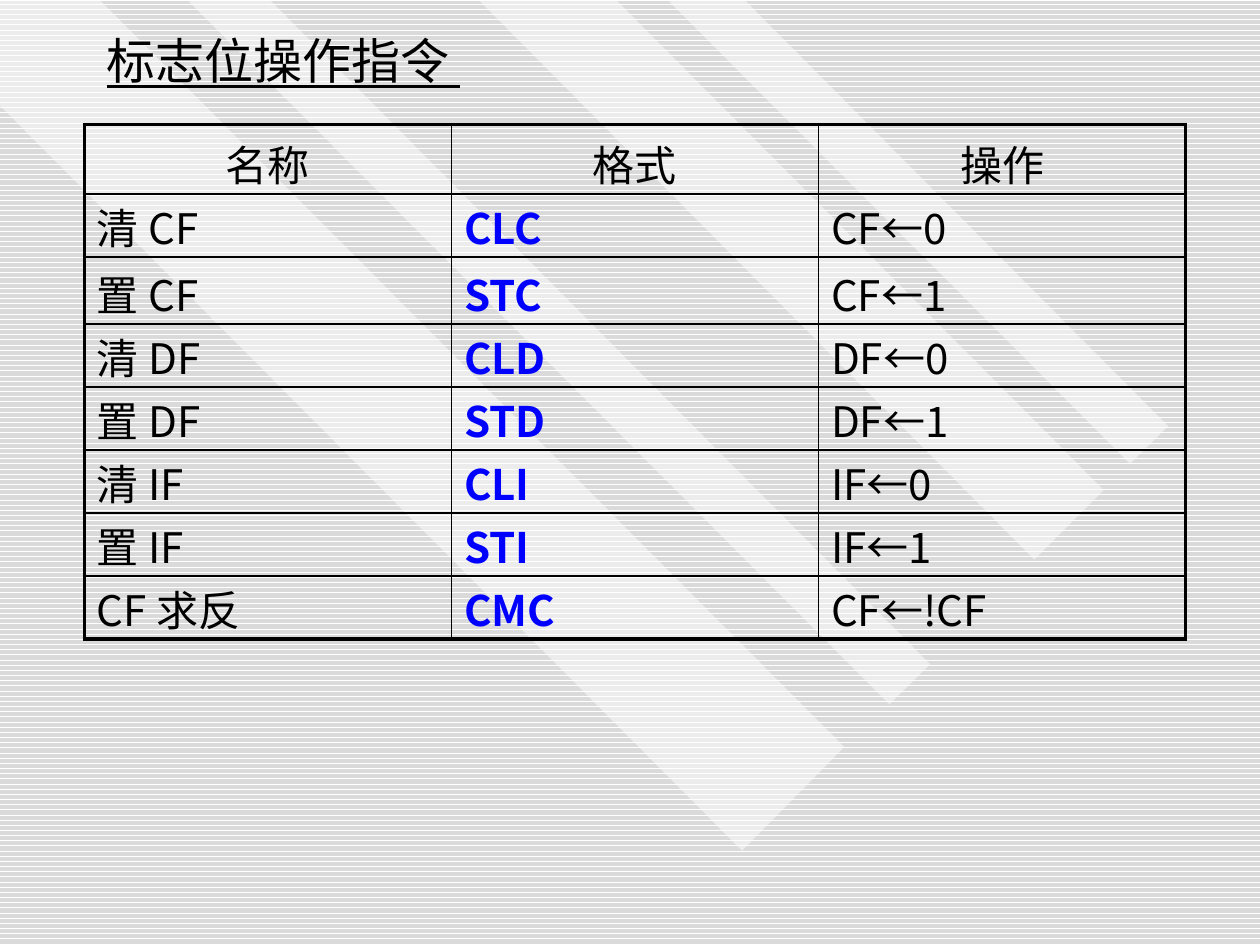
import pptx
import pptx.util
import pptx.dml.color
import pptx.enum.dml
import pptx.enum.text
from lxml import etree
from pptx.util import Cm

ANCHOR = pptx.enum.text.MSO_ANCHOR
ALIGN = pptx.enum.text.PP_ALIGN
NS = "http://schemas.openxmlformats.org/drawingml/2006/main"
SERIF = "Times New Roman"
SANS = "Noto Sans CJK SC"
BANDS = [
    [(17.02, 15.06), (2.01, 0), (0, 0), (0, 2.13), (14.96, 17.15)],
    [(5.44, 0), (18.75, 13.39), (17.93, 14.2), (3.78, 0)],
    [(12.42, 0), (22.25, 9.88), (20.85, 11.28), (9.65, 0)],
    [(13.46, 0), (22.78, 9.35), (23.55, 8.59), (15.01, 0)],
]
ROWS = [
    ("名称", "格式", "操作"),
    ("清 CF", "CLC", "CF←0"),
    ("置 CF", "STC", "CF←1"),
    ("清 DF", "CLD", "DF←0"),
    ("置 DF", "STD", "DF←1"),
    ("清 IF", "CLI", "IF←0"),
    ("置 IF", "STI", "IF←1"),
    ("CF 求反", "CMC", "CF←!CF"),
]
HEIGHTS = [1.4, 1.27, 1.35] + [1.27] * 5


def rgb(value):
    return pptx.dml.color.RGBColor.from_string(value)


def sub(parent, tag, **attrs):
    return etree.SubElement(parent, f"{{{NS}}}{tag}", **attrs)


def write(tf, text, size=24, font=SANS, color="000000", bold=False,
          underline=False, align=ALIGN.LEFT):
    p = tf.paragraphs[0]
    p.alignment = align
    p.space_before = pptx.util.Pt(0)
    r = p.add_run()
    r.text = text
    r.font.size = pptx.util.Pt(size)
    r.font.bold = bold
    r.font.underline = underline
    r.font.color.rgb = rgb(color)
    r.font.name = font
    sub(r.font._element, "ea", typeface=SANS)


def add_background(s, x, y):
    fill = s.background.fill
    fill.patterned()
    fill.pattern = pptx.enum.dml.MSO_PATTERN.DARK_HORIZONTAL
    fill.fore_color.rgb = rgb("DADADA")
    fill.back_color.rgb = rgb("FFFFFF")
    for band in BANDS:
        points = [(Cm(x + px), Cm(y + py)) for px, py in band]
        builder = s.shapes.build_freeform(*points[0])
        builder.add_line_segments(points[1:], close=True)
        sp = builder.convert_to_shape()
        sp.shadow.inherit = False
        sp.line.fill.background()
        sp.fill.solid()
        sp.fill.fore_color.rgb = rgb("FFFFFF")
        color = sp._element.spPr.find(f".//{{{NS}}}srgbClr")
        sub(color, "alpha", val="50000")


def add_title(s, x, y, w, h):
    tf = s.shapes.add_textbox(Cm(x), Cm(y), Cm(w), Cm(h)).text_frame
    tf.word_wrap = True
    tf.vertical_anchor = ANCHOR.MIDDLE
    write(tf, "标志位操作指令 ", size=28, font=SERIF, underline=True)


def set_borders(cell, **widths):
    tcPr = cell._tc.get_or_add_tcPr()
    for side in "LRTB":
        width = pptx.util.Pt(widths[side])
        ln = sub(tcPr, f"ln{side}", w=str(int(width)))
        sub(sub(ln, "solidFill"), "srgbClr", val="000000")


def add_flag_table(s, x, y, w, h):
    n_rows, n_cols = len(ROWS), len(ROWS[0])
    table = s.shapes.add_table(n_rows, n_cols, Cm(x), Cm(y), Cm(w), Cm(h)).table
    table.first_row = table.horz_banding = False
    for col in table.columns:
        col.width = Cm(w / n_cols)
    for i, texts in enumerate(ROWS):
        table.rows[i].height = Cm(HEIGHTS[i] * h / sum(HEIGHTS))
        for j, text in enumerate(texts):
            cell = table.cell(i, j)
            cell.margin_top = cell.margin_bottom = 0
            cell.vertical_anchor = ANCHOR.BOTTOM
            set_borders(cell,
                        L=2.25 if j == 0 else 1,
                        R=2.25 if j == n_cols - 1 else 1,
                        T=2.25 if i == 0 else 1,
                        B=2.25 if i == n_rows - 1 else 1)
            cell.fill.background()
            if i == 0:
                style = dict(font=SERIF, align=ALIGN.CENTER)
            elif j == 1:
                style = dict(color="0000FF", bold=True)
            else:
                style = {}
            write(cell.text_frame, text, **style)


def main():
    prs = pptx.Presentation()
    prs.slide_width, prs.slide_height = Cm(25.4), Cm(19.05)
    s = prs.slides.add_slide(prs.slide_layouts[6])
    add_background(s, 0, 0)
    add_title(s, 1.9, 0.5, 22.4, 1.4)
    add_flag_table(s, 1.7, 2.51, 22.2, 10.37)
    prs.save("out.pptx")


if __name__ == "__main__":
    main()
